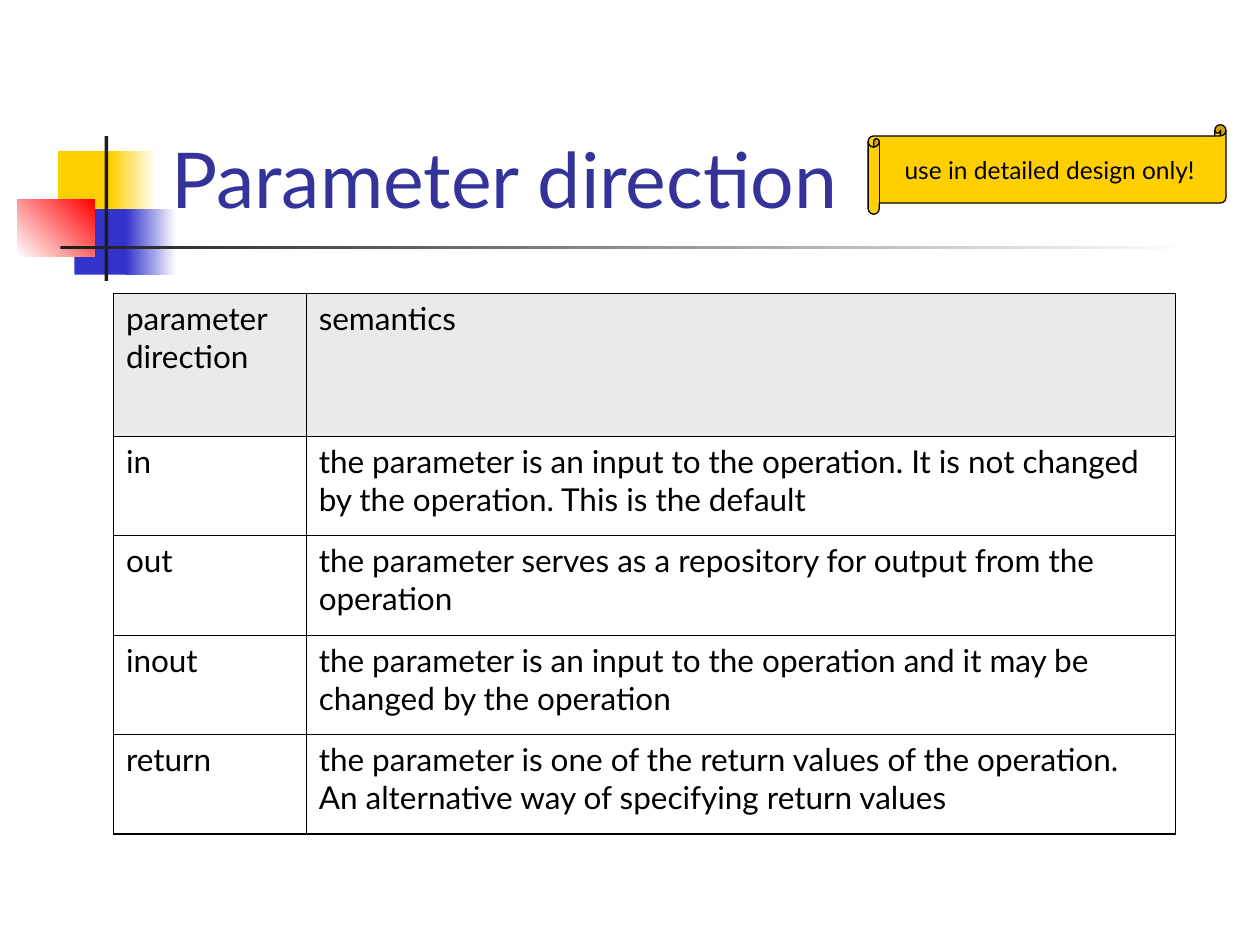
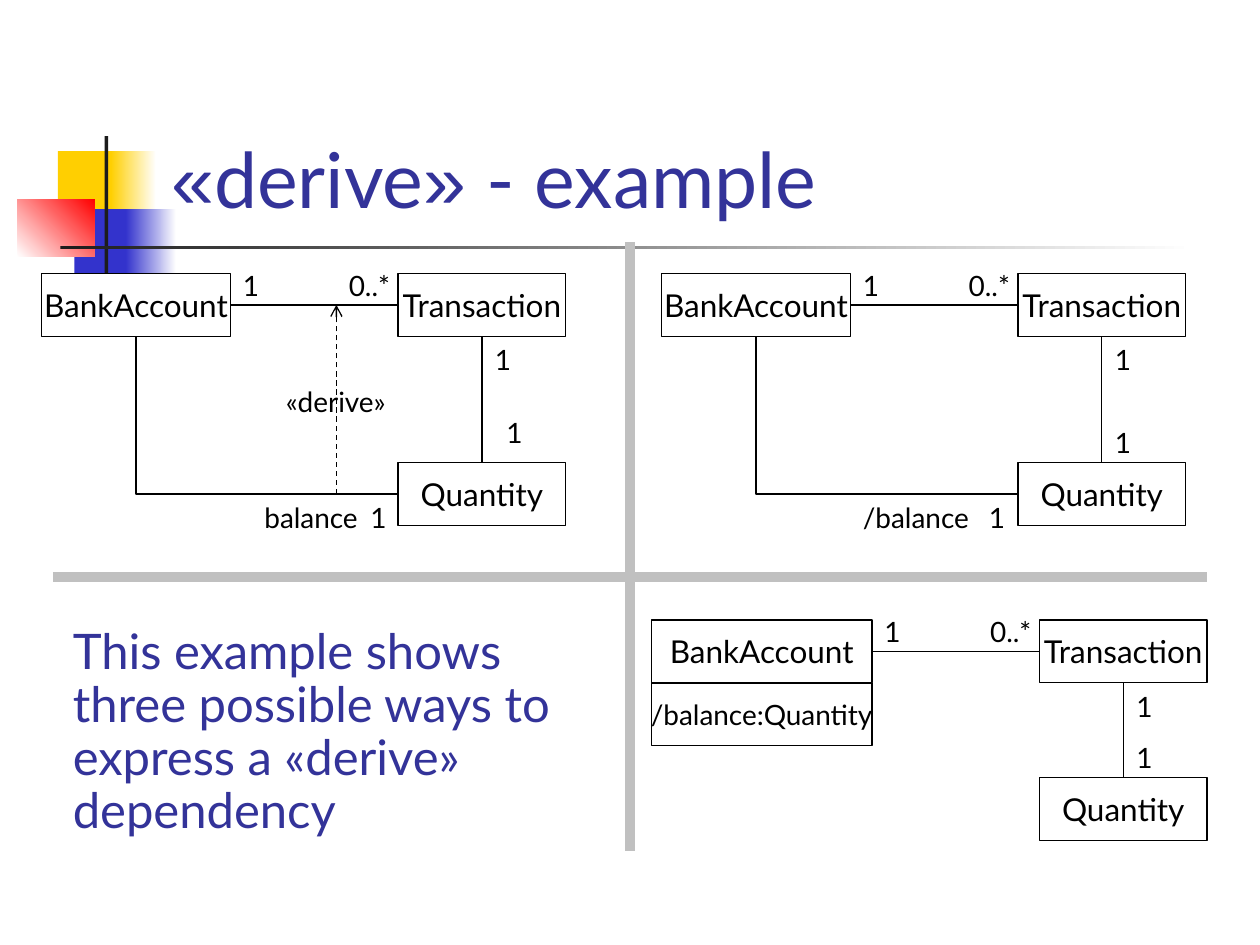
from lxml.etree import SubElement
from pptx import Presentation
from pptx.dml.color import RGBColor
from pptx.enum.dml import MSO_LINE as Dash
from pptx.enum.shapes import MSO_CONNECTOR as Conn, MSO_SHAPE as Shape
from pptx.enum.text import MSO_ANCHOR as Anchor, MSO_AUTO_SIZE as Fit, PP_ALIGN as Align
from pptx.oxml.ns import qn
from pptx.util import Inches, Pt

BLACK = RGBColor(0, 0, 0)
WHITE = RGBColor(255, 255, 255)
INK = RGBColor(0x1C, 0x1C, 0x1C)
NAVY = RGBColor(0x33, 0x33, 0x99)
BLUE = RGBColor(0x33, 0x33, 0xCC)
GOLD = RGBColor(0xFF, 0xCF, 0x01)
RED = RGBColor(0xFF, 0, 0)
PALE = RGBColor(0xEA, 0xEA, 0xEA)
GREY = RGBColor(0xC0, 0xC0, 0xC0)

TOP, LEFT, BOTTOM, RIGHT = range(4)
THIN, THICK = Pt(0.45), Pt(1.08)

# left, top, width, height, start colour, end colour, angle
MOTIF = [
    (0.46, 1.2, 0.48, 0.52, GOLD, None, 0),
    (0.88, 1.2, 0.36, 0.52, GOLD, WHITE, 0),
    (0.59, 1.66, 0.46, 0.52, BLUE, None, 0),
    (1, 1.66, 0.4, 0.52, BLUE, WHITE, 0),
    (0.14, 1.58, 0.61, 0.46, WHITE, RED, 45),
    (0.83, 1.08, 0.03, 1.15, INK, None, 0),
    (0.48, 1.95, 9, 0.03, INK, WHITE, 0),
]

MODES = [
    ("parameter direction", "semantics"),
    ("in", "the parameter is an input to the operation. It is not changed "
           "by the operation. This is the default"),
    ("out", "the parameter serves as a repository for output from the operation"),
    ("inout", "the parameter is an input to the operation and it may be "
              "changed by the operation"),
    ("return", "the parameter is one of the return values of the operation. "
               "An alternative way of specifying return values"),
]


def inches(*sizes):
    return [Inches(size) for size in sizes]


class Deck:
    """Holds the shared style and the slide being drawn."""

    font = "Lato"

    def __init__(self):
        self.prs = Presentation()
        self.prs.slide_width, self.prs.slide_height = inches(10, 7.5)
        self.slide = None

    def style(self, frame, size, color=BLACK, align=Align.LEFT):
        for par in frame.paragraphs:
            par.alignment = align
            for run in par.runs:
                run.font.size = Pt(size)
                run.font.name = run.font.name or self.font
                run.font.color.rgb = color

    def page(self, *title):
        """Start a slide; title is a series of (text, font) pairs."""
        self.slide = self.prs.slides.add_slide(self.prs.slide_layouts[6])
        for *area, start, end, angle in MOTIF:
            self.block(area, start, end, angle)
        frame = self.slide.shapes.add_textbox(*inches(1.26, 0.23, 8.52, 1.6)).text_frame
        frame.word_wrap = True
        frame.vertical_anchor = Anchor.BOTTOM
        for text, font in title:
            run = frame.paragraphs[0].add_run()
            run.text = text
            run.font.name = font
        self.style(frame, 44, NAVY)

    def block(self, area, start, end=None, angle=0, kind=Shape.RECTANGLE):
        shape = self.slide.shapes.add_shape(kind, *inches(*area))
        shape.shadow.inherit = False
        shape.line.fill.background()
        if end is None:
            shape.fill.solid()
            shape.fill.fore_color.rgb = start
        else:
            shape.fill.gradient()
            shape.fill.gradient_angle = angle
            for stop, color in zip(shape.fill.gradient_stops, (start, end)):
                stop.color.rgb = color
        return shape

    def box(self, area, text, size=18, fill=WHITE, kind=Shape.RECTANGLE):
        shape = self.block(area, fill, kind=kind)
        shape.line.color.rgb = BLACK
        shape.line.width = Pt(0.75)
        frame = shape.text_frame
        frame.text = text
        frame.word_wrap = False
        frame.vertical_anchor = Anchor.MIDDLE
        self.style(frame, size, align=Align.CENTER)
        return shape

    def label(self, left, top, text, width=0.32, wrap=False):
        frame = self.slide.shapes.add_textbox(*inches(left, top, width, 0.37)).text_frame
        frame.text = text
        frame.word_wrap = wrap
        frame.auto_size = Fit.SHAPE_TO_FIT_TEXT
        self.style(frame, 16)

    def note(self, area, text):
        frame = self.slide.shapes.add_textbox(*inches(*area)).text_frame
        frame.text = text
        frame.word_wrap = True
        frame.paragraphs[0].line_spacing = 0.9
        self.style(frame, 28, NAVY)

    def line(self, ends, color=BLACK, width=0.75, kind=Conn.STRAIGHT):
        wire = self.slide.shapes.add_connector(kind, *inches(*ends))
        wire.line.color.rgb = color
        wire.line.width = Pt(width)
        SubElement(wire._element.spPr, qn("a:effectLst"))
        return wire

    def link(self, first, side, last, end, kind=Conn.STRAIGHT):
        """Join the middles of two box sides."""
        wire = self.line((0, 0, 0, 0), kind=kind)
        wire.begin_connect(first, side)
        wire.end_connect(last, end)
        if kind == Conn.ELBOW:
            wire._element.spPr.find(qn("a:prstGeom")).set("prst", "bentConnector2")

    def arrow(self, ends):
        wire = self.line(ends)
        wire.line.dash_style = Dash.DASH
        SubElement(wire.line._get_or_add_ln(), qn("a:tailEnd"), type="arrow")

    def table(self, area, cols, heights, rows):
        grid = self.slide.shapes.add_table(len(rows), len(cols), *inches(*area)).table
        grid.first_row = grid.horz_banding = False
        for col, width in zip(grid.columns, cols):
            col.width = Inches(width)
        for y, (row, height) in enumerate(zip(rows, heights)):
            grid.rows[y].height = Inches(height)
            for x, text in enumerate(row):
                cell = grid.cell(y, x)
                cell.text = text
                self.style(cell.text_frame, 18)
                self.border(cell, L=x == 0, R=x == len(cols) - 1,
                            T=y == 0, B=y == len(rows) - 1)
                cell.fill.solid()
                cell.fill.fore_color.rgb = WHITE if y else PALE

    def border(self, cell, **outer):
        """Rule each side, thicker where it is on the outer edge."""
        props = cell._tc.get_or_add_tcPr()
        for side, edge in outer.items():
            rule = SubElement(props, qn("a:ln" + side), w=str(THICK if edge else THIN))
            fill = SubElement(rule, qn("a:solidFill"))
            SubElement(fill, qn("a:srgbClr"), val=str(BLACK))

    def model(self, left, top, wide=1.5, drop=1.5, low=(0, -0.34)):
        """Draw the three linked classes; low shifts the lower multiplicity."""
        right = left + wide
        far, base = right + 1.33, top + drop
        mid = far + 0.67
        bank = self.box((left, top, wide, 0.5), "BankAccount")
        trans = self.box((far, top, 1.33, 0.5), "Transaction")
        count = self.box((far, base, 1.33, 0.5), "Quantity")
        self.link(bank, RIGHT, trans, LEFT)
        self.link(trans, BOTTOM, count, TOP)
        self.label(right, top - 0.09, "1")
        self.label(right + 0.84, top - 0.09, "0..*", 0.57)
        self.label(mid, top + 0.5, "1")
        self.label(mid + low[0], base + low[1], "1")
        return bank, count

    def balance(self, ends, left, top, text, shift):
        """Add the balance link; left and top are those of Quantity."""
        bank, count = ends
        self.link(count, LEFT, bank, BOTTOM, Conn.ELBOW)
        self.label(left - 0.33, top + 0.25, "1")
        self.label(left - shift, top + 0.25, text, 1.08, True)


def direction(deck):
    deck.page(("Parameter direction", deck.font))
    deck.table((0.9, 2.33, 8.43, 4.28), (1.53, 6.9), [1.13] + [0.79] * 4, MODES)
    deck.box((6.89, 0.99, 2.84, 0.71), "use in detailed design only!", 14,
             GOLD, Shape.HORIZONTAL_SCROLL)


def derive(deck):
    deck.page(("«", "Arial"), ("derive", deck.font), ("»", "Arial"),
              (" - example", deck.font))
    ends = deck.model(0.33, 2.17, low=(0.09, -0.42))
    deck.balance(ends, 3.17, 3.67, "balance", 1.17)
    deck.arrow((2.67, 3.92, 2.67, 2.42))
    deck.label(2.17, 3, "«derive»", 1.5, True)

    ends = deck.model(5.25, 2.17)
    deck.balance(ends, 8.08, 3.67, "/balance", 1.33)

    deck.model(5.17, 4.92, wide=1.75, drop=1.25)
    deck.box((5.17, 5.42, 1.75, 0.5), "/balance:Quantity", 16)

    for ends in ((5, 1.92, 5, 6.75), (5, 4.58, 9.58, 4.58), (0.42, 4.58, 5, 4.58)):
        deck.line(ends, GREY, 6)
    deck.note((0.48, 4.93, 4.43, 1.98),
              "This example shows three possible ways to express a «derive» dependency")


def main():
    deck = Deck()
    direction(deck)
    derive(deck)
    deck.prs.save("out.pptx")


if __name__ == "__main__":
    main()
